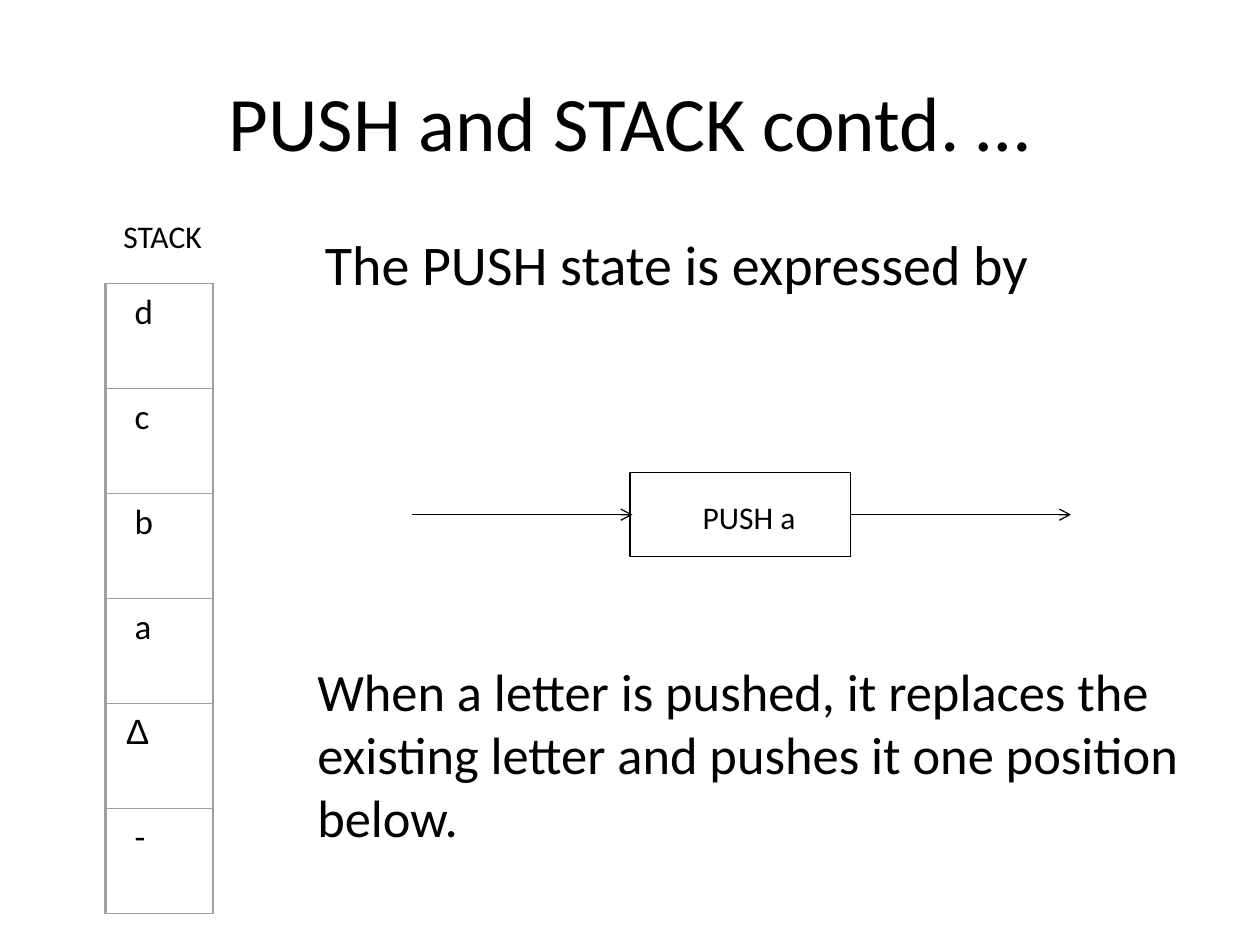
from pptx import Presentation
from pptx import util as u
from pptx.dml.color import RGBColor
from pptx.enum import shapes, text
from pptx.oxml.ns import qn
from lxml import etree

COLORS = {"ink": "000000", "cell": "A0A0A0"}
STACK_LETTERS = ["d", "c", "b", "a", "∆", "-"]
LEFT, CENTER = text.PP_ALIGN.LEFT, text.PP_ALIGN.CENTER


def color(name):
    return RGBColor.from_string(COLORS[name])


def add_text(page, box, words, size, align=LEFT, font="Calibri", wrap=True,
             anchor=text.MSO_ANCHOR.TOP, indent=0):
    label = page.shapes.add_textbox(*(u.Inches(side) for side in box))
    frame = label.text_frame
    frame.text = words
    frame.word_wrap = wrap
    frame.vertical_anchor = anchor
    frame.margin_left = u.Inches(0.1 + indent)
    para = frame.paragraphs[0]
    para.alignment = align
    for span in para.runs:
        span.font.name = font
        span.font.size = u.Pt(size)
        span.font.color.rgb = color("ink")


def add_frame(page, box, line, width):
    frame = page.shapes.add_shape(shapes.MSO_SHAPE.RECTANGLE,
                                  *(u.Inches(side) for side in box))
    frame.shadow.inherit = False
    frame.fill.background()
    frame.line.color.rgb = color(line)
    frame.line.width = u.Pt(width)


def add_arrow(page, left, right, y):
    arrow = page.shapes.add_connector(
        shapes.MSO_CONNECTOR.STRAIGHT,
        u.Inches(left), u.Inches(y), u.Inches(right), u.Inches(y))
    arrow.line.color.rgb = color("ink")
    arrow.line.width = u.Pt(0.75)
    etree.SubElement(arrow.line._get_or_add_ln(), qn("a:tailEnd"), type="arrow")
    etree.SubElement(arrow._element.spPr, qn("a:effectLst"))


def add_stack(page, box):
    left, top, width, height = box
    step = height / len(STACK_LETTERS)
    # Caption above the cells
    add_text(page, (left - 0.29, top - 0.58, 1.5, 0.5), "STACK", 18, CENTER)
    # One cell per letter, the blank symbol flush left
    for row, letter in enumerate(STACK_LETTERS):
        y = top + row * step
        is_blank = letter == "∆"
        add_text(page, (left + 0.08, y, 0.7, step), letter, 20,
                 font="Arial" if is_blank else "Calibri",
                 indent=0 if is_blank else 0.06)
        add_frame(page, (left + 0.01, y, width - 0.01, step), "cell", 0)
    # Outer border
    add_frame(page, box, "cell", 0.87)


def add_push_state(page, box):
    left, top, width, height = box
    middle = top + height / 2
    add_text(page, (left + 0.3, top + 0.15, 1.29, 0.5), "PUSH a", 18, CENTER,
             wrap=False)
    add_frame(page, box, "ink", 0.75)
    # Arrows out of and into the state
    for start in (left + width, left - width + 0.02):
        add_arrow(page, start, start + width, middle)


def main():
    deck = Presentation()
    deck.slide_width, deck.slide_height = u.Inches(10), u.Inches(7.5)
    page = deck.slides.add_slide(deck.slide_layouts[6])

    # Title and statement
    add_text(page, (0.75, 0.33, 8.5, 1.25), "PUSH and STACK contd. …", 44,
             CENTER, anchor=text.MSO_ANCHOR.MIDDLE)
    add_text(page, (2.48, 1.77, 7.02, 0.7),
             "The PUSH state is expressed by", 32)

    # Diagrams
    add_stack(page, (0.83, 2.25, 0.86, 5))
    add_push_state(page, (5, 3.75, 1.75, 0.67))

    # Explanation
    add_text(page, (2.42, 5.18, 7.33, 2),
             "When a letter is pushed, it replaces the existing letter "
             "and pushes it one position below.", 30)
    deck.save("out.pptx")


if __name__ == "__main__":
    main()
